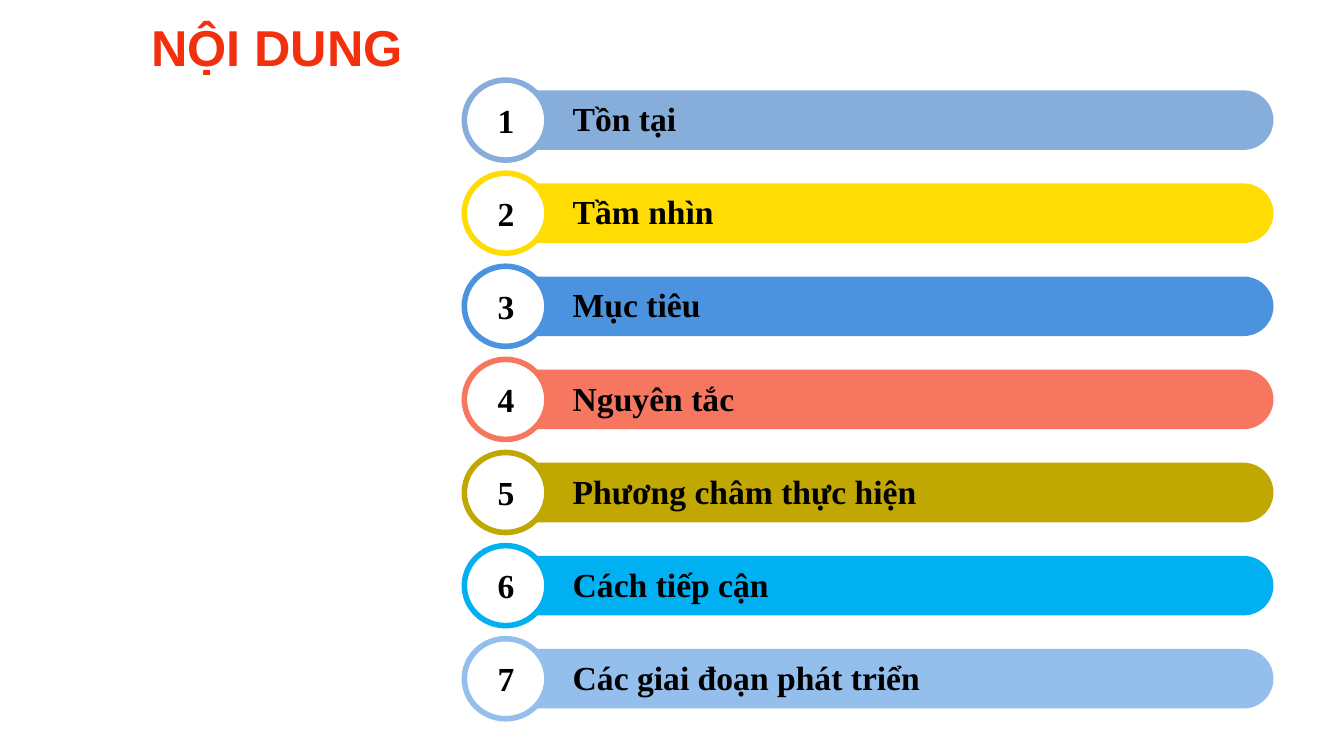
from dataclasses import dataclass

from pptx import Presentation, util as u
from pptx.dml.color import RGBColor
from pptx.enum import shapes, text


@dataclass(frozen=True)
class Theme:
    heading_font: str = "Arial"
    body_font: str = "Times New Roman"
    heading_size: int = 36
    body_size: int = 24
    ring_width: int = 4
    heading: str = "F3300E"
    ink: str = "000000"
    paper: str = "FFFFFF"


WIDTH, HEIGHT = 13.33, 7.5
COLUMNS, ROWS = 40, 8.12  # one row per agenda item, plus the heading
FIRST_ROW = 0.84

AGENDA = [
    ("Tồn tại", "87ADDB"),
    ("Tầm nhìn", "FEDC04"),
    ("Mục tiêu", "4C93DF"),
    ("Nguyên tắc", "F77660"),
    ("Phương châm thực hiện", "C1A701"),
    ("Cách tiếp cận", "00B0F0"),
    ("Các giai đoạn phát triển", "94BEEC"),
]


def write(box, words, *, font, size, color, align=text.PP_ALIGN.LEFT, inset=0.05):
    """Put bold, vertically centred text into a box."""
    frame = box.text_frame
    frame.word_wrap = True
    frame.vertical_anchor = text.MSO_ANCHOR.MIDDLE
    frame.margin_top = frame.margin_bottom = u.Inches(inset)
    para = frame.paragraphs[0]
    para.alignment = align
    span = para.add_run()
    span.text = words
    span.font.name = font
    span.font.size = u.Pt(size)
    span.font.bold = True
    span.font.color.rgb = RGBColor.from_string(color)


class AgendaPage:
    """Draws on one page; lengths are grid columns and rows."""

    def __init__(self, page, theme):
        self.page = page
        self.theme = theme

    def place(self, left, top, width, height):
        column, row = WIDTH / COLUMNS, HEIGHT / ROWS
        return [u.Inches(n) for n in (left * column, top * row, width * column, height * row)]

    def label(self, parent, area, words, **style):
        box = parent.add_textbox(*self.place(*area))
        write(box, words, **style)

    def turned_shape(self, parent, kind, area, turn, fill, line=None):
        """Add a shape turned by a quarter so that it covers the given area."""
        left, top, width, height = self.place(*area)
        shift = (width - height) // 2
        shape = parent.add_shape(kind, left + shift, top - shift, height, width)
        shape.rotation = turn
        shape.shadow.inherit = False
        shape.fill.solid()
        shape.fill.fore_color.rgb = RGBColor.from_string(fill)
        if line:
            shape.line.color.rgb = RGBColor.from_string(line)
            shape.line.width = u.Pt(self.theme.ring_width)
        else:
            shape.line.fill.background()
        return shape

    def heading(self, words):
        theme = self.theme
        self.label(self.page.shapes, (4.2, 0, 29.47, 1), words, font=theme.heading_font,
                   size=theme.heading_size, color=theme.heading)

    def item(self, index, words, color):
        theme = self.theme
        top = FIRST_ROW + index
        group = self.page.shapes.add_group_shape().shapes
        body = dict(font=theme.body_font, size=theme.body_size, color=theme.ink)

        # Bar with its round end on the right
        bar = self.turned_shape(group, shapes.MSO_SHAPE.ROUND_2_SAME_RECTANGLE,
                                (15.06, top + 0.13, 22.84, 0.64), 90, color)
        bar.adjustments[0] = 0.5
        bar.adjustments[1] = 0

        # Numbered badge
        self.turned_shape(group, shapes.MSO_SHAPE.OVAL, (13.82, top + 0.02, 2.46, 0.86),
                          270, theme.paper, line=color)
        self.label(group, (13.83, top + 0.23, 2.46, 0.43), str(index + 1),
                   align=text.PP_ALIGN.CENTER, inset=0, **body)

        # Item name
        self.label(group, (16.75, top + 0.16, 20.41, 0.54), words, **body)


def main():
    deck = Presentation()
    deck.slide_width, deck.slide_height = u.Inches(WIDTH), u.Inches(HEIGHT)
    agenda = AgendaPage(deck.slides.add_slide(deck.slide_layouts[6]), Theme())
    agenda.heading("NỘI DUNG")
    for index, (words, color) in enumerate(AGENDA):
        agenda.item(index, words, color)
    deck.save("out.pptx")


if __name__ == "__main__":
    main()
